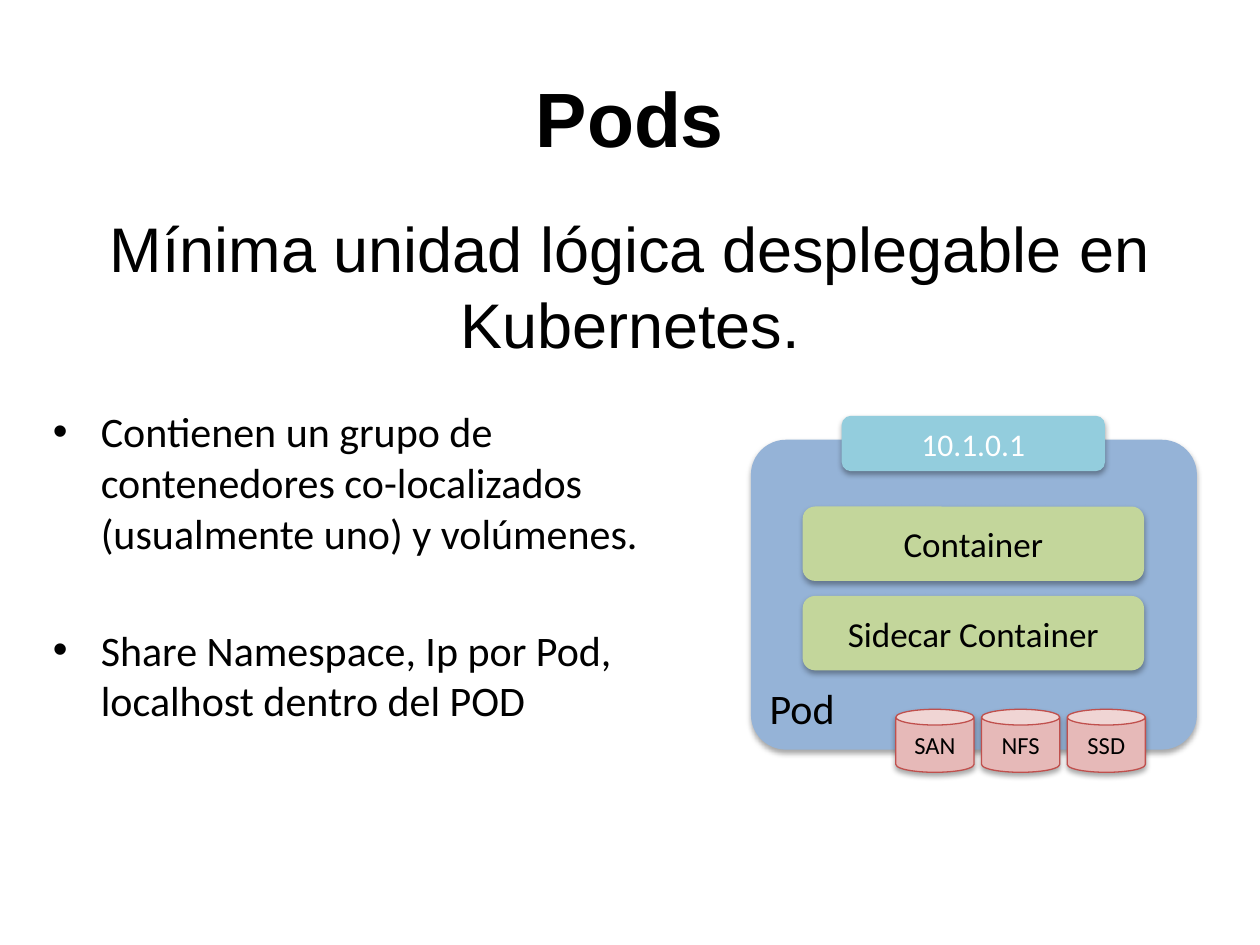
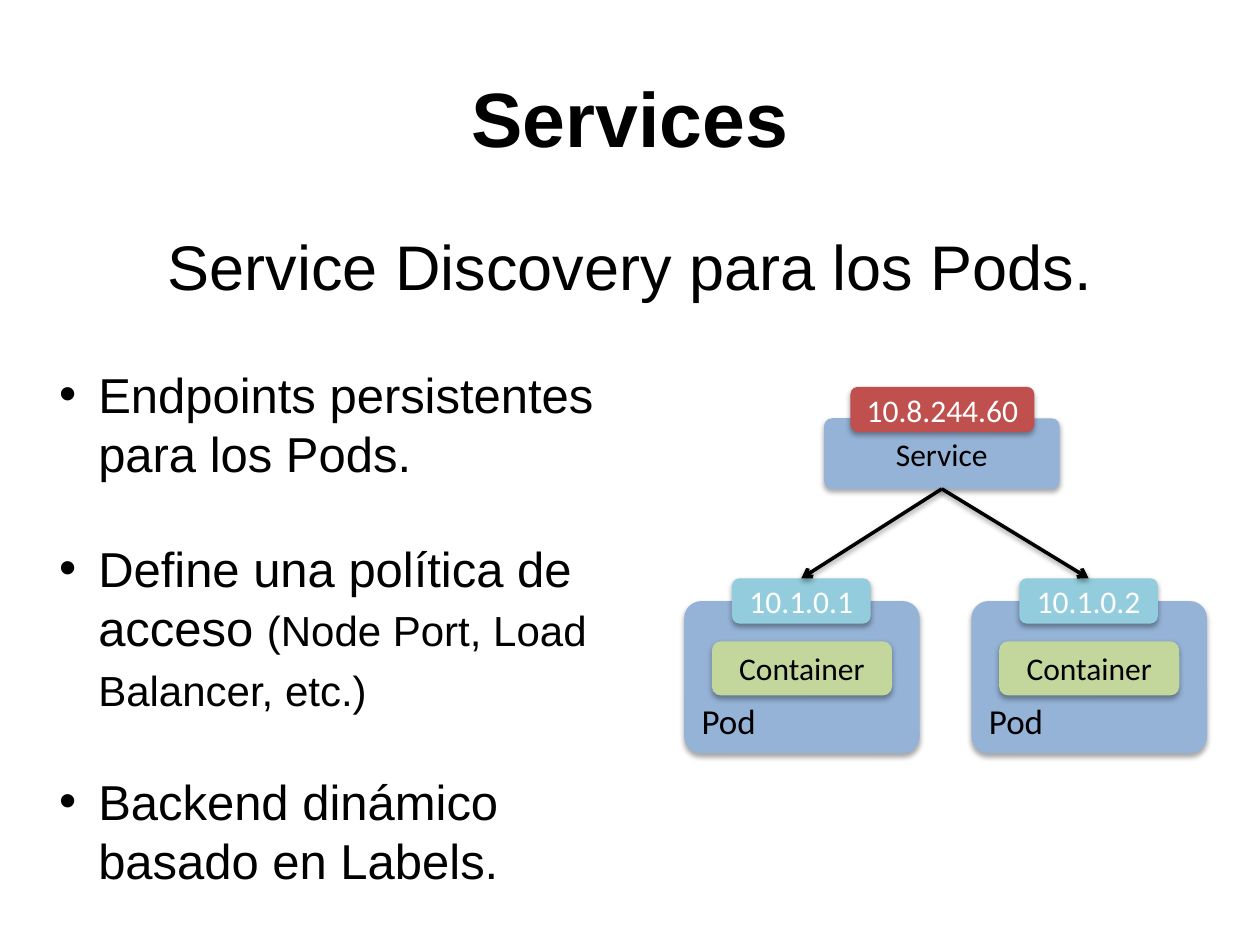
from lxml.etree import SubElement
from pptx import Presentation
from pptx.dml.color import RGBColor
from pptx.enum.shapes import MSO_CONNECTOR, MSO_SHAPE
from pptx.enum.text import MSO_ANCHOR, MSO_AUTO_SIZE, PP_ALIGN
from pptx.oxml.ns import qn
from pptx.util import Emu, Inches, Pt

COLUMNS, ROWS = 100, 75
LINE_RATIO = 1.205
HEADING_FONT, DIAGRAM_FONT = "Arial", "Calibri"
BLACK, WHITE = "000000", "FFFFFF"
POD_BLUE, CONTAINER_GREEN, ADDRESS_TEAL = "95B3D7", "C3D69B", "93CDDD"
SERVICE_RED, VOLUME_PINK = "C0504D", "E6B9B8"
POD_CORNER = 0.113


def colour(hex_value):
    return RGBColor.from_string(hex_value)


class Deck:
    def __init__(self):
        self.presentation = Presentation()
        self.presentation.slide_width = Inches(10)
        self.presentation.slide_height = Inches(7.5)
        self.column = self.presentation.slide_width / COLUMNS
        self.row = self.presentation.slide_height / ROWS
        self.slide = None

    def box(self, left, top, width, height):
        return (Emu(round(left * self.column)), Emu(round(top * self.row)),
                Emu(round(width * self.column)), Emu(round(height * self.row)))

    def add_text(self, paragraph, text, size, font, ink=BLACK, bold=False):
        run = paragraph.add_run()
        run.text = text
        run.font.size = Pt(size)
        run.font.name = font
        run.font.bold = bold
        run.font.color.rgb = colour(ink)

    def placeholder(self, index, place, anchor=MSO_ANCHOR.TOP):
        holder = self.slide.placeholders[index]
        holder.left, holder.top, holder.width, holder.height = self.box(*place)
        frame = holder.text_frame
        frame.word_wrap = True
        frame.auto_size = MSO_AUTO_SIZE.NONE
        frame.vertical_anchor = anchor
        return frame

    def start(self, title, summary, summary_top, summary_height):
        self.slide = self.presentation.slides.add_slide(
            self.presentation.slide_layouts[3])
        heading = self.placeholder(0, (5, 3, 90, 12.5), MSO_ANCHOR.MIDDLE)
        heading.paragraphs[0].alignment = PP_ALIGN.CENTER
        self.add_text(heading.paragraphs[0], title, 44, HEADING_FONT, bold=True)

        lead = self.placeholder(1, (5, summary_top, 90, summary_height)).paragraphs[0]
        properties = lead._p.get_or_add_pPr()
        properties.set("marL", "0")
        properties.set("indent", "0")
        SubElement(properties, qn("a:buNone"))
        lead.alignment = PP_ALIGN.CENTER
        lead.space_before = Pt(0)
        lead.line_spacing = Pt(36 * LINE_RATIO)
        self.add_text(lead, summary, 36, HEADING_FONT)

    def bullets(self, place, items, size, font, indent, gap):
        frame = self.placeholder(2, place)
        for number, item in enumerate(items):
            paragraph = frame.add_paragraph() if number else frame.paragraphs[0]
            properties = paragraph._p.get_or_add_pPr()
            properties.set("marL", str(Inches(indent)))
            properties.set("indent", str(-Inches(indent)))
            SubElement(properties, qn("a:buFont"), typeface="Arial")
            SubElement(properties, qn("a:buChar"), char="•")
            paragraph.space_before = Pt(gap if number else 0)
            paragraph.line_spacing = Pt(size * LINE_RATIO)
            for text, run_size in item:
                self.add_text(paragraph, text, run_size, font)

    def cast_shadow(self, effects, distance, opacity):
        shadow = SubElement(effects, qn("a:outerShdw"), blurRad="40000",
                            dist=str(distance), dir="5400000", rotWithShape="0")
        tint = SubElement(shadow, qn("a:srgbClr"), val=BLACK)
        SubElement(tint, qn("a:alpha"), val=str(opacity * 1000))

    def block(self, place, fill, text="", size=18, ink=BLACK, corner=None,
              kind=MSO_SHAPE.ROUNDED_RECTANGLE, outline=None):
        shape = self.slide.shapes.add_shape(kind, *self.box(*place))
        if corner:
            shape.adjustments[0] = corner
        shape.fill.solid()
        shape.fill.fore_color.rgb = colour(fill)
        if outline:
            shape.line.color.rgb = colour(outline)
            shape.line.width = Pt(0.75)
        else:
            shape.line.fill.background()
        shape.shadow.inherit = False
        self.cast_shadow(shape._element.spPr.find(qn("a:effectLst")), 23000, 35)
        if text:
            frame = shape.text_frame
            frame.vertical_anchor = MSO_ANCHOR.MIDDLE
            frame.paragraphs[0].alignment = PP_ALIGN.CENTER
            self.add_text(frame.paragraphs[0], text, size, DIAGRAM_FONT, ink)
        return shape

    def label(self, place, text, size):
        frame = self.slide.shapes.add_textbox(*self.box(*place)).text_frame
        frame.word_wrap = True
        self.add_text(frame.paragraphs[0], text, size, DIAGRAM_FONT)

    def arrow(self, source, target):
        link = self.slide.shapes.add_connector(MSO_CONNECTOR.STRAIGHT, 0, 0, 0, 0)
        link.begin_connect(source, 2)
        link.end_connect(target, 0)
        link.line.color.rgb = colour(BLACK)
        link.line.width = Pt(2)
        properties = link._element.spPr
        SubElement(properties.find(qn("a:ln")), qn("a:tailEnd"), type="arrow")
        self.cast_shadow(SubElement(properties, qn("a:effectLst")), 20000, 38)


def add_pods(deck):
    deck.start("Pods", "Mínima unidad lógica desplegable en Kubernetes.", 16.1, 13.4)
    deck.block((59.6, 34.9, 35.4, 24.6), POD_BLUE, corner=POD_CORNER)
    deck.block((66.8, 33, 20.9, 4.4), ADDRESS_TEAL, "10.1.0.1", ink=WHITE)
    for number, container in enumerate(("Container", "Sidecar Container")):
        deck.block((63.7, 40.2 + 7.1 * number, 27.1, 5.9), CONTAINER_GREEN,
                   container, 20)
    deck.label((60.1, 53.7, 9, 5), "Pod", 24)
    for number, volume in enumerate(("SAN", "NFS", "SSD")):
        deck.block((71.1 + 6.8 * number, 56.3, 6.2, 5), VOLUME_PINK, volume, 14,
                   kind=MSO_SHAPE.CAN, outline=SERVICE_RED)
    deck.bullets((3.2, 31.7, 49, 34.4), [
        [("Contienen un grupo de contenedores co-localizados "
          "(usualmente uno) y volúmenes.", 24)],
        [("Share Namespace, Ip por Pod, localhost dentro del POD", 24)],
    ], 24, DIAGRAM_FONT, indent=0.38, gap=38)


def add_services(deck):
    deck.start("Services", "Service Discovery para los Pods.", 17.5, 7.6)
    deck.bullets((3.7, 28.4, 48.6, 38), [
        [("Endpoints persistentes para los Pods.", 28)],
        [("Define una política de acceso ", 28),
         ("(Node Port, Load Balancer, etc.)", 24)],
        [("Backend dinámico basado en Labels.", 28)],
    ], 28, HEADING_FONT, indent=0.31, gap=32)

    addresses = []
    for number, address in enumerate(("10.1.0.1", "10.1.0.2")):
        left = 54.3 + 22.8 * number
        deck.block((left, 47.7, 18.7, 12.1), POD_BLUE, corner=POD_CORNER)
        deck.block((left + 2.2, 50.9, 14.3, 4.3), CONTAINER_GREEN, "Container")
        addresses.append(deck.block((left + 3.8, 45.9, 11, 3.6), ADDRESS_TEAL,
                                    address, ink=WHITE))
        deck.label((left + 0.4, 55, 9, 4.4), "Pod", 20)

    service = deck.block((65.4, 33.2, 18.7, 5.6), POD_BLUE, "Service",
                         corner=POD_CORNER)
    deck.block((67.5, 30.7, 14.6, 3.6), SERVICE_RED, "10.8.244.60", ink=WHITE)
    for address in addresses:
        deck.arrow(service, address)


def main():
    deck = Deck()
    add_pods(deck)
    add_services(deck)
    deck.presentation.save("out.pptx")


if __name__ == "__main__":
    main()
